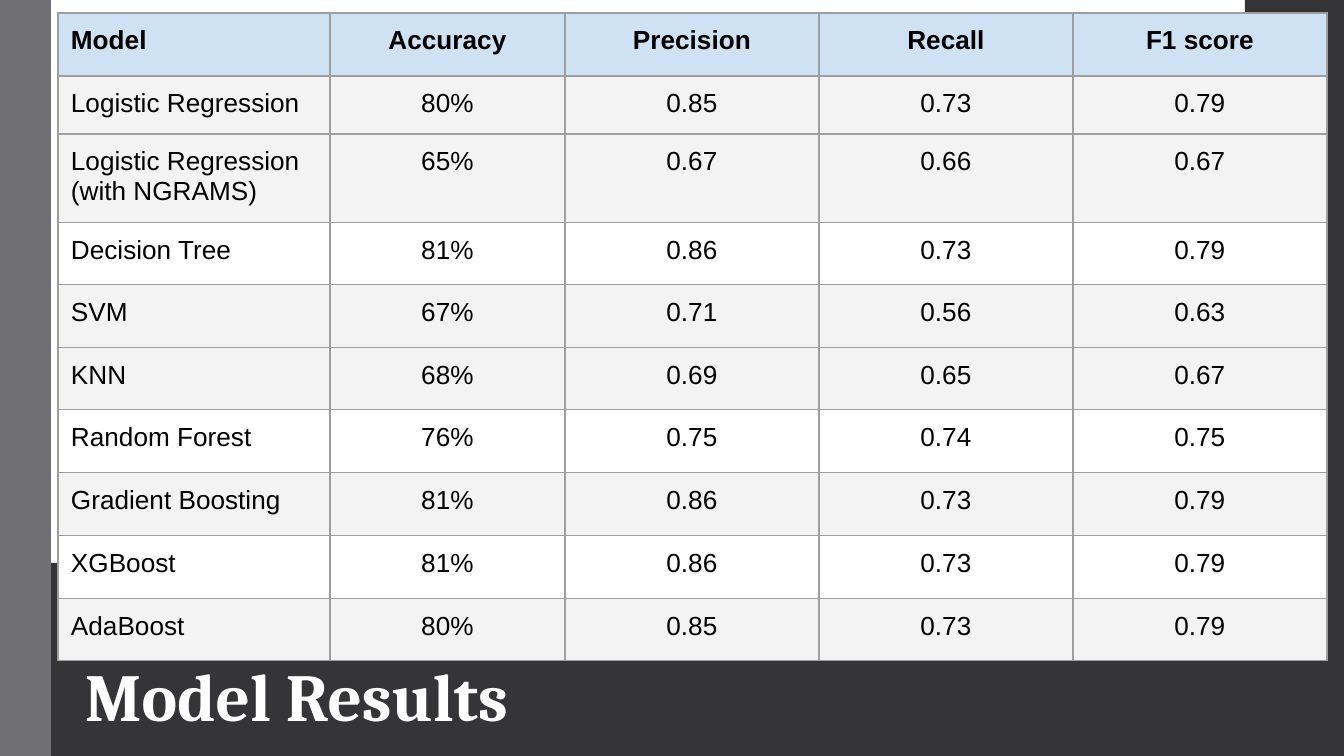
from lxml import etree
from pptx import Presentation
from pptx.dml.color import RGBColor
from pptx.enum.shapes import MSO_SHAPE
from pptx.enum.text import MSO_ANCHOR, PP_ALIGN
from pptx.oxml.ns import qn
from pptx.util import Pt

RECTANGLE = MSO_SHAPE.RECTANGLE
BOTTOM = MSO_ANCHOR.BOTTOM
LEFT, CENTER = PP_ALIGN.LEFT, PP_ALIGN.CENTER

PAGE_WIDTH, PAGE_HEIGHT = 1344, 756
EMU_PER_PX = 914400 / 134.4

DARK = RGBColor(0x35, 0x35, 0x37)
GRAY = RGBColor(0x6F, 0x6F, 0x74)
WHITE = RGBColor(0xFF, 0xFF, 0xFF)
BLACK = RGBColor(0x00, 0x00, 0x00)
HEADER_BLUE = RGBColor(0xCF, 0xE2, 0xF3)
PALE_GRAY = RGBColor(0xF3, 0xF3, 0xF3)
BORDER = RGBColor(0x9E, 0x9E, 0x9E)

TITLE_FORMAT = {"name": "Cambria", "size": Pt(36), "bold": True}
HEADER_FORMAT = {"name": "Arial", "size": Pt(14), "bold": True}
BODY_FORMAT = {**HEADER_FORMAT, "bold": False}

HEADERS = ("Model", "Accuracy", "Precision", "Recall", "F1 score")
RESULTS = (
    ("Logistic Regression", "80%", "0.85", "0.73", "0.79"),
    ("Logistic Regression (with NGRAMS)", "65%", "0.67", "0.66", "0.67"),
    ("Decision Tree", "81%", "0.86", "0.73", "0.79"),
    ("SVM", "67%", "0.71", "0.56", "0.63"),
    ("KNN", "68%", "0.69", "0.65", "0.67"),
    ("Random Forest", "76%", "0.75", "0.74", "0.75"),
    ("Gradient Boosting", "81%", "0.86", "0.73", "0.79"),
    ("XGBoost", "81%", "0.86", "0.73", "0.79"),
    ("AdaBoost", "80%", "0.85", "0.73", "0.79"),
)
WHITE_ROWS = {"Decision Tree", "Random Forest", "XGBoost"}
COLUMN_WIDTHS = (272, 235, 254, 254, 254)
ROW_HEIGHTS = (63, 58, 86, 62, 63, 62, 63, 63, 63, 62)


def px(length):
    return round(length * EMU_PER_PX)


def set_attributes(target, values):
    for name, value in values.items():
        setattr(target, name, value)


def write_text(para, text, font_format, color):
    span = para.add_run()
    span.text = text
    set_attributes(span.font, font_format)
    span.font.color.rgb = color


def add_panel(page, box, color):
    panel = page.shapes.add_shape(RECTANGLE, *map(px, box))
    panel.shadow.inherit = False
    panel.fill.solid()
    panel.fill.fore_color.rgb = color
    panel.line.fill.background()


def add_title(page, box, text):
    frame = page.shapes.add_textbox(*map(px, box)).text_frame
    set_attributes(frame, {
        "word_wrap": True, "vertical_anchor": BOTTOM,
        "margin_left": px(10), "margin_right": px(10),
        "margin_top": px(5), "margin_bottom": px(5),
    })
    para = frame.paragraphs[0]
    para.line_spacing = 0.85
    write_text(para, text, TITLE_FORMAT, WHITE)


def add_title_band(page, box):
    """Dark band with the title inset in it."""
    left, top, width, height = box
    add_panel(page, box, DARK)
    add_title(page, (left + 24, top + 59, width - 75, height - 75), "Model Results")


def add_borders(cell):
    properties = cell._tc.get_or_add_tcPr()
    for side in ("a:lnL", "a:lnR", "a:lnT", "a:lnB"):
        line = etree.SubElement(properties, qn(side), w=str(Pt(0.75)))
        fill = etree.SubElement(line, qn("a:solidFill"))
        etree.SubElement(fill, qn("a:srgbClr"), val=str(BORDER))


def format_cell(cell, text, font_format, fill_color, alignment):
    set_attributes(cell, dict.fromkeys(
        ("margin_left", "margin_right", "margin_top", "margin_bottom"), px(13)))
    add_borders(cell)
    cell.fill.solid()
    cell.fill.fore_color.rgb = fill_color
    para = cell.text_frame.paragraphs[0]
    para.alignment = alignment
    write_text(para, text, font_format, BLACK)


def add_results_table(page, left, top):
    rows = (HEADERS, *RESULTS)
    box = (left, top, sum(COLUMN_WIDTHS), sum(ROW_HEIGHTS))
    table = page.shapes.add_table(len(rows), len(HEADERS), *map(px, box)).table
    table.horz_banding = False
    for column, width in zip(table.columns, COLUMN_WIDTHS):
        column.width = px(width)
    for row_index, values in enumerate(rows):
        table.rows[row_index].height = px(ROW_HEIGHTS[row_index])
        if row_index == 0:
            font_format, fill_color = HEADER_FORMAT, HEADER_BLUE
        else:
            font_format = BODY_FORMAT
            fill_color = WHITE if values[0] in WHITE_ROWS else PALE_GRAY
        for column_index, text in enumerate(values):
            alignment = CENTER if column_index else LEFT
            format_cell(table.cell(row_index, column_index), text,
                        font_format, fill_color, alignment)


def build_results_page(deck):
    page = deck.slides.add_slide(deck.slide_layouts[6])
    page.background.fill.solid()
    page.background.fill.fore_color.rgb = WHITE
    add_title_band(page, (51, 563, 1194, 193))
    add_panel(page, (0, 0, 51, PAGE_HEIGHT), GRAY)
    add_panel(page, (1245, 0, 99, PAGE_HEIGHT), DARK)
    add_results_table(page, 58, 13)


def main():
    deck = Presentation()
    deck.slide_width, deck.slide_height = px(PAGE_WIDTH), px(PAGE_HEIGHT)
    build_results_page(deck)
    deck.save("out.pptx")


if __name__ == "__main__":
    main()
